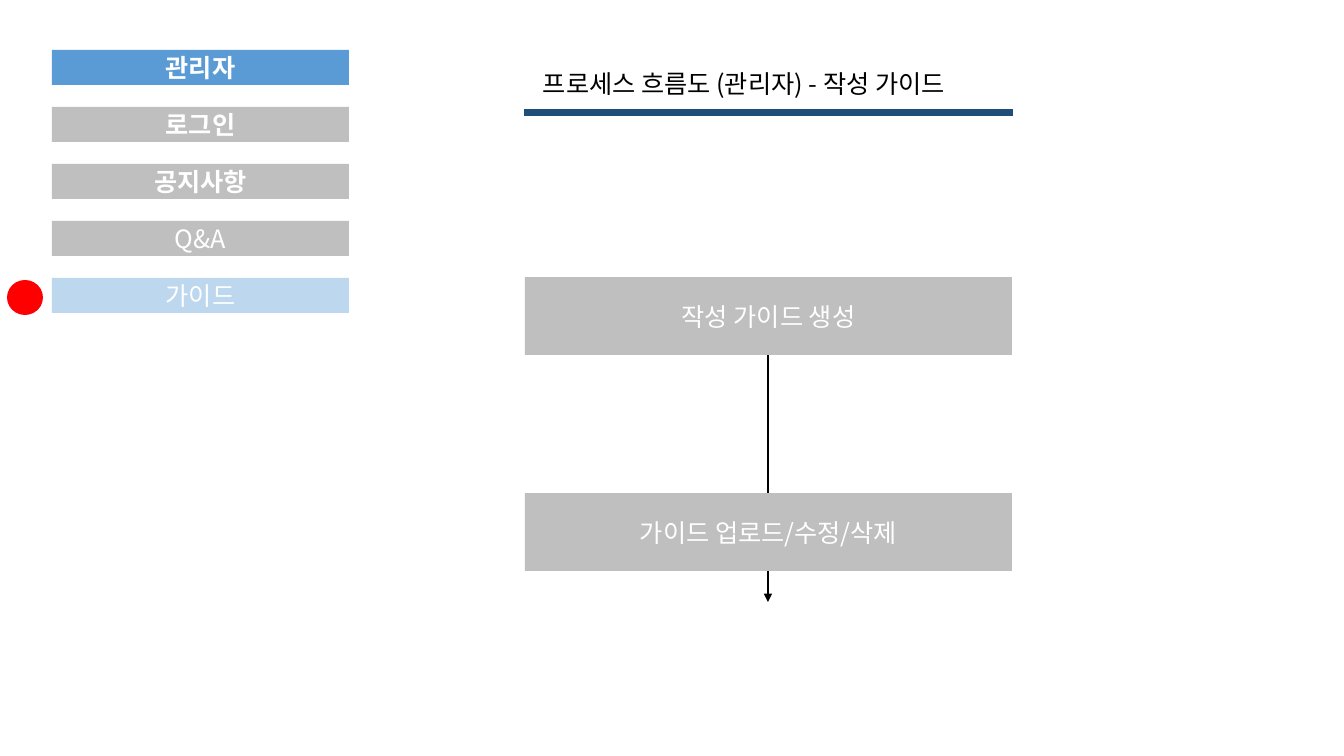
from dataclasses import dataclass

from lxml.etree import SubElement
from pptx import Presentation
from pptx.dml.color import RGBColor
from pptx.enum.shapes import MSO_CONNECTOR as Connector, MSO_SHAPE as Preset
from pptx.enum.text import MSO_ANCHOR as Anchor, MSO_AUTO_SIZE as AutoSize, PP_ALIGN as Align
from pptx.oxml.ns import qn
from pptx.shapes.autoshape import Shape
from pptx.shapes.connector import Connector as Line
from pptx.slide import Slide
from pptx.util import Emu, Pt

EMU_PER_PX = 914400 / 100.8


@dataclass(frozen=True)
class Theme:
    font: str = "Noto Sans CJK KR"
    text_pt: int = 18
    flow_pt: int = 1
    rule_pt: int = 5
    white: str = "FFFFFF"
    black: str = "000000"
    role: str = "5B9BD5"
    idle: str = "BFBFBF"
    current: str = "BDD7EE"
    rule: str = "1F4E79"
    marker: str = "FF0000"


THEME = Theme()


@dataclass(frozen=True)
class Box:
    left: int
    top: int
    width: int
    height: int

    def emu(self) -> tuple[Emu, Emu, Emu, Emu]:
        return px(self.left), px(self.top), px(self.width), px(self.height)


@dataclass(frozen=True)
class MenuItem:
    label: str
    fill: str = THEME.idle
    bold: bool = False


@dataclass(frozen=True)
class Step:
    label: str
    top: int


MENU = (
    MenuItem("관리자", THEME.role, bold=True),
    MenuItem("로그인", bold=True),
    MenuItem("공지사항", bold=True),
    MenuItem("Q&A"),
    MenuItem("가이드", THEME.current),
)
MENU_TOP, MENU_PITCH = 50, 57
STEPS = (Step("작성 가이드 생성", 277), Step("가이드 업로드/수정/삭제", 493))
FLOW_X = 768


def px(length: int) -> Emu:
    return Emu(round(length * EMU_PER_PX))


def add_run(shape: Shape, text: str, color: str, bold: bool = False) -> None:
    run = shape.text_frame.paragraphs[0].add_run()
    run.text = text
    font = run.font
    font.name, font.size, font.bold = THEME.font, Pt(THEME.text_pt), bold
    font.color.rgb = RGBColor.from_string(color)
    # Hangul takes its typeface from the East Asian font slot.
    SubElement(font._element, qn("a:ea"), typeface=THEME.font)


def add_filled(slide: Slide, preset: Preset, box: Box, fill: str) -> Shape:
    shape = slide.shapes.add_shape(preset, *box.emu())
    shape.shadow.inherit = False
    shape.fill.solid()
    shape.fill.fore_color.rgb = RGBColor.from_string(fill)
    shape.line.fill.background()
    return shape


def add_label_box(slide: Slide, box: Box, label: str, fill: str, bold: bool = False) -> None:
    shape = add_filled(slide, Preset.RECTANGLE, box, fill)
    shape.text_frame.vertical_anchor = Anchor.MIDDLE
    shape.text_frame.paragraphs[0].alignment = Align.CENTER
    add_run(shape, label, THEME.white, bold)


def add_line(slide: Slide, start: tuple[int, int], end: tuple[int, int],
             color: str, width_pt: int) -> Line:
    line = slide.shapes.add_connector(Connector.STRAIGHT, *map(px, start + end))
    line.line.color.rgb = RGBColor.from_string(color)
    line.line.width = Pt(width_pt)
    SubElement(line._element.spPr, qn("a:effectLst"))
    return line


def add_flow_arrow(slide: Slide) -> None:
    arrow = add_line(slide, (FLOW_X, 330), (FLOW_X, 602), THEME.black, THEME.flow_pt)
    SubElement(arrow.line._get_or_add_ln(), qn("a:tailEnd"), type="triangle")


def add_heading(slide: Slide) -> None:
    heading = slide.shapes.add_textbox(*Box(533, 63, 471, 40).emu())
    heading.text_frame.word_wrap = True
    heading.text_frame.auto_size = AutoSize.SHAPE_TO_FIT_TEXT
    add_run(heading, "프로세스 흐름도 (관리자) - 작성 가이드", THEME.black)
    add_line(slide, (524, 113), (1013, 113), THEME.rule, THEME.rule_pt)


def add_menu(slide: Slide) -> None:
    for row, item in enumerate(MENU):
        box = Box(52, MENU_TOP + row * MENU_PITCH, 297, 35)
        add_label_box(slide, box, item.label, item.fill, item.bold)
    add_filled(slide, Preset.OVAL, Box(7, 280, 36, 35), THEME.marker)


def add_flow(slide: Slide) -> None:
    add_flow_arrow(slide)
    for step in STEPS:
        add_label_box(slide, Box(525, step.top, 487, 78), step.label, THEME.idle)


def main() -> None:
    deck = Presentation()
    deck.slide_width, deck.slide_height = px(1344), px(756)
    slide = deck.slides.add_slide(deck.slide_layouts[6])
    add_flow(slide)
    add_menu(slide)
    add_heading(slide)
    deck.save("out.pptx")


if __name__ == "__main__":
    main()
